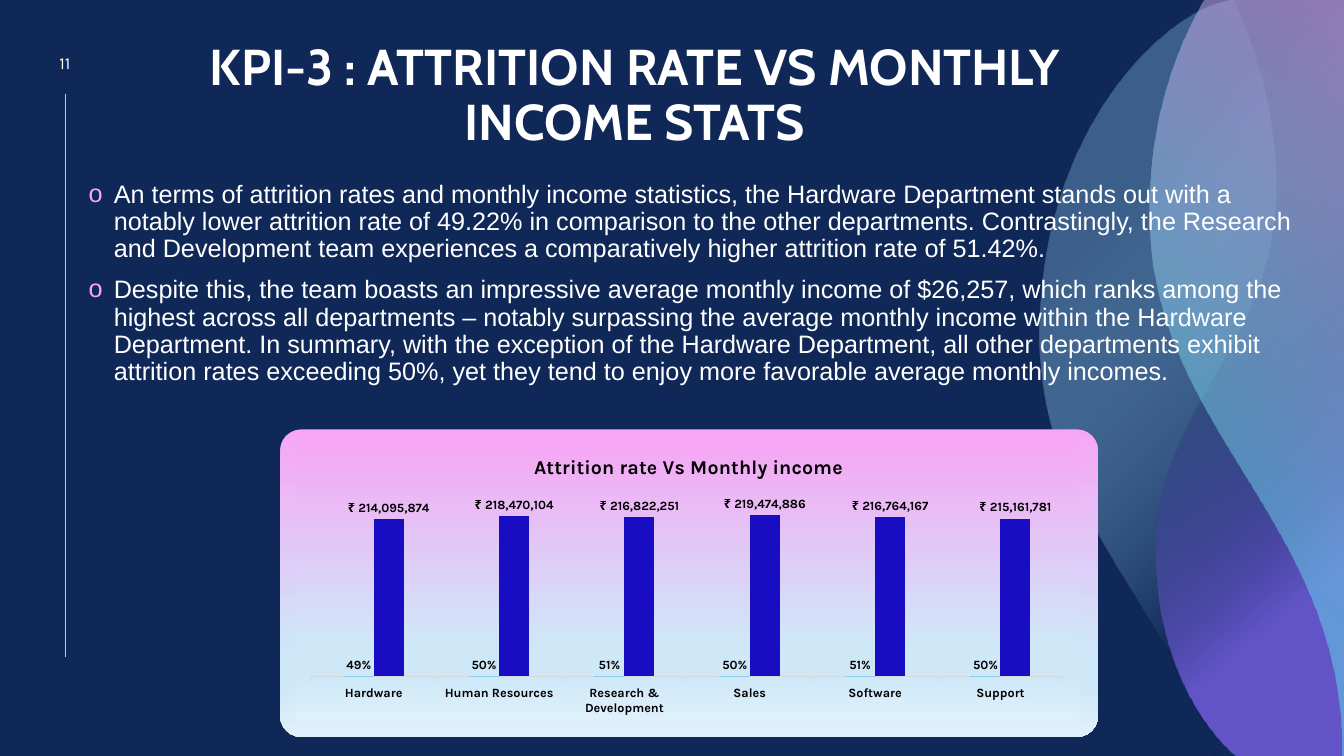
from lxml import etree
from pptx import Presentation
from pptx.chart.data import CategoryChartData
from pptx.dml.color import RGBColor
from pptx.enum.chart import XL_CHART_TYPE, XL_LABEL_POSITION, XL_TICK_LABEL_POSITION, XL_TICK_MARK
from pptx.enum.shapes import MSO_CONNECTOR, MSO_SHAPE
from pptx.enum.text import MSO_ANCHOR, PP_ALIGN
from pptx.oxml import parse_xml
from pptx.oxml.ns import nsdecls, qn
from pptx.util import Inches, Pt

COLORS = {
    "navy": "102857", "pink": "F6A6F4", "sky": "92CDF0", "violet": "765FE1",
    "aqua": "64DFED", "blue": "180DC2", "mist": "CEE8F8", "ice": "DEF0FA",
    "white": "FFFFFF", "black": "000000", "grey": "D9D9D9",
}
PANEL_STOPS = [(0, "pink", 100), (74, "mist", 100), (83, "mist", 100), (100, "ice", 100)]

LINEAR = '<a:lin ang="{}" scaled="0"/>'
CORNER = '<a:path path="circle"><a:fillToRect l="100000" t="100000"/></a:path>'

# Each ribbon: rotation, start point, segments (2 numbers a line, 6 a curve), stops, shading
RIBBONS = [
    (90, (12.2, 0),
     [(13.34, 0), (13.34, 7.5), (12.04, 7.5), (12.02, 7.43),
      (11.54, 5.95, 10.31, 5.03, 10.31, 3.34), (10.3, 1.51, 11.32, 0.31, 12.05, 0.04)],
     [(26, "navy", 100), (73, "sky", 33)], CORNER),
    (270, (12.23, 0),
     [(13.33, 0), (13.33, 7.5), (12.26, 7.5), (12.24, 7.49),
      (11.85, 7.14, 11.46, 6.43, 11.46, 5.46), (11.47, 4.04, 12.63, 3.43, 12.65, 1.92),
      (12.66, 1.17, 12.48, 0.58, 12.28, 0.12)],
     [(37, "navy", 28), (79, "violet", 80)], LINEAR.format(140 * 60000)),
    (90, (11.94, 0),
     [(13.33, 0), (13.33, 7.5), (13.3, 7.5), (13.3, 7.37),
      (13.26, 5.14, 11.41, 4.24, 11.4, 2.15), (11.39, 1.36, 11.58, 0.69, 11.85, 0.17)],
     [(32, "aqua", 48), (100, "pink", 49)], LINEAR.format(220 * 60000)),
]

FINDINGS = [
    "An terms of attrition rates and monthly income statistics, the Hardware Department stands out "
    "with a notably lower attrition rate of 49.22% in comparison to the other departments. "
    "Contrastingly, the Research and Development team experiences a comparatively higher attrition "
    "rate of 51.42%.",
    "Despite this, the team boasts an impressive average monthly income of $26,257, which ranks among "
    "the highest across all departments – notably surpassing the average monthly income within the "
    "Hardware Department. In summary, with the exception of the Hardware Department, all other "
    "departments exhibit attrition rates exceeding 50%, yet they tend to enjoy more favorable average "
    "monthly incomes.",
]
DEPARTMENTS = ["Hardware", "Human Resources", "Research & Development", "Sales", "Software", "Support"]
ATTRITION = [0.49, 0.5, 0.51, 0.5, 0.51, 0.5]
INCOME = [214095874, 218470104, 216822251, 219474886, 216764167, 215161781]


def rgb(name):
    return RGBColor.from_string(COLORS[name])


def gradient(stops, shading):
    marks = "".join(
        f'<a:gs pos="{place * 1000}"><a:srgbClr val="{COLORS[color]}">'
        f'<a:alpha val="{alpha * 1000}"/></a:srgbClr></a:gs>' for place, color, alpha in stops)
    return parse_xml(f'<a:gradFill {nsdecls("a")} rotWithShape="1">'
                     f'<a:gsLst>{marks}</a:gsLst>{shading}</a:gradFill>')


def bend(shape, segments):
    """Join the three lines that stand for each curve into one cubic curve."""
    lines = iter(list(shape.element.iter(qn("a:lnTo"))))
    for segment in segments:
        first = next(lines)
        if len(segment) == 6:
            first.tag = qn("a:cubicBezTo")
            for _ in range(2):
                line = next(lines)
                first.append(line[0])
                line.getparent().remove(line)


def manual_layout(x, y, width=None, height=None):
    """Place a chart part by fractions of the chart area."""
    target = '<c:layoutTarget val="inner"/>' if width else ""
    size = f'<c:w val="{width}"/><c:h val="{height}"/>' if width else ""
    return parse_xml(f'<c:layout {nsdecls("c")}><c:manualLayout>{target}<c:xMode val="edge"/>'
                     f'<c:yMode val="edge"/><c:x val="{x}"/><c:y val="{y}"/>{size}'
                     f'</c:manualLayout></c:layout>')


class SlideBuilder:
    def __init__(self, page):
        self.page = page
        self.shapes = page.shapes
        page.background.fill.solid()
        page.background.fill.fore_color.rgb = rgb("navy")

    def style(self, font, size, name="Karla", color="white", bold=False):
        font.size, font.name, font.bold = Pt(size), name, bold
        font.color.rgb = rgb(color)

    def shade(self, shape, stops, shading):
        shape.shadow.inherit = False
        shape.line.fill.background()
        shape.fill.background()
        properties = shape.element.spPr
        properties.replace(properties.find(qn("a:noFill")), gradient(stops, shading))

    def rule(self, x, top, bottom):
        line = self.shapes.add_connector(
            MSO_CONNECTOR.STRAIGHT, Inches(x), Inches(top), Inches(x), Inches(bottom))
        line.line.color.rgb, line.line.width = rgb("pink"), Pt(0.5)
        etree.SubElement(line.element.spPr, qn("a:effectLst"))

    def ribbon(self, rotation, start, segments, stops, shading):
        """Draw the outline turned back about its centre, then rotate it so the shading turns too."""
        points = [start] + [segment[i:i + 2] for segment in segments for i in range(0, len(segment), 2)]
        middle_x, middle_y = ((min(values) + max(values)) / 2 for values in zip(*points))
        turn = 1 if rotation == 90 else -1
        turned = [(Inches(middle_x + turn * (y - middle_y)), Inches(middle_y - turn * (x - middle_x)))
                  for x, y in points]
        builder = self.shapes.build_freeform(*turned[0])
        builder.add_line_segments(turned[1:], close=True)
        shape = builder.convert_to_shape()
        bend(shape, segments)
        shape.rotation = rotation
        self.shade(shape, stops, shading)

    def title(self, text, *place):
        title = self.shapes.title
        title.element.getparent().append(title.element)
        title.left, title.top, title.width, title.height = map(Inches, place)
        title.text_frame.text = text
        title.text_frame.word_wrap = True
        title.text_frame.vertical_anchor = MSO_ANCHOR.BOTTOM
        paragraph = title.text_frame.paragraphs[0]
        paragraph.alignment, paragraph.line_spacing = PP_ALIGN.CENTER, 0.9
        self.style(paragraph.runs[0].font, 36, "Cabin", bold=True)

    def page_number(self, text, *place):
        frame = self.shapes.add_textbox(*map(Inches, place)).text_frame
        frame.text, frame.word_wrap = text, True
        frame.vertical_anchor = MSO_ANCHOR.MIDDLE
        frame.paragraphs[0].alignment = PP_ALIGN.CENTER
        self.style(frame.paragraphs[0].runs[0].font, 12)

    def bullets(self, items, *place):
        frame = self.shapes.add_textbox(*map(Inches, place)).text_frame
        frame.text, frame.word_wrap = "\n".join(items), True
        for index, paragraph in enumerate(frame.paragraphs):
            paragraph.line_spacing = 0.9
            paragraph.space_before = Pt(10 if index else 0)
            properties = paragraph._p.get_or_add_pPr()
            properties.set("marL", str(Inches(0.25)))
            properties.set("indent", str(-Inches(0.25)))
            color = etree.SubElement(properties, qn("a:buClr"))
            etree.SubElement(color, qn("a:srgbClr"), val=COLORS["pink"])
            etree.SubElement(properties, qn("a:buFont"), typeface="Arial")
            etree.SubElement(properties, qn("a:buChar"), char="o")
            self.style(paragraph.runs[0].font, 18, "Arial")

    def panel(self, *place):
        panel = self.shapes.add_shape(MSO_SHAPE.ROUNDED_RECTANGLE, *map(Inches, place))
        panel.adjustments[0] = 0.068
        self.shade(panel, PANEL_STOPS, LINEAR.format(90 * 60000))

    def column_chart(self, title, categories, series, *place):
        """Draw columns; series holds name, values, colour and label format."""
        data = CategoryChartData()
        data.categories = categories
        for name, values, _, label_format in series:
            data.add_series(name, values, label_format)
        chart = self.shapes.add_chart(XL_CHART_TYPE.COLUMN_CLUSTERED, *map(Inches, place), data).chart
        self.style(chart.font, 10, color="black")
        chart.has_legend = False
        chart.has_title = True
        chart.chart_title.text_frame.text = title
        self.style(chart.chart_title.text_frame.paragraphs[0].runs[0].font, 14, color="black", bold=True)
        chart.chart_title.include_in_layout = False
        heading = chart.chart_title._element
        for old in heading.findall(qn("c:layout")):
            heading.remove(old)
        heading.find(qn("c:tx")).addnext(manual_layout(0.3, 0.04))

        axis = chart.category_axis
        axis.major_tick_mark = XL_TICK_MARK.OUTSIDE
        axis.tick_label_position = XL_TICK_LABEL_POSITION.LOW
        axis.format.line.color.rgb, axis.format.line.width = rgb("grey"), Pt(0.75)
        self.style(axis.tick_labels.font, 9, color="black", bold=True)
        values_axis = chart.value_axis
        values_axis.visible = values_axis.has_major_gridlines = False
        values_axis.minimum_scale, values_axis.maximum_scale = 0, 250000000

        plot = chart.plots[0]
        plot.gap_width, plot.overlap, plot.vary_by_categories = 219, 0, False
        for bars, (_, _, color, label_format) in zip(plot.series, series):
            bars.format.fill.solid()
            bars.format.fill.fore_color.rgb = rgb(color)
            labels = bars.data_labels
            labels.show_value, labels.position = True, XL_LABEL_POSITION.OUTSIDE_END
            labels.number_format, labels.number_format_is_linked = label_format, False
            self.style(labels.font, 9, color="black", bold=True)
        plot.series[0].format.line.color.rgb = rgb("sky")
        plot.series[0].format.line.width = Pt(0.75)

        space = chart.element
        plot_area = space.chart.plotArea
        for old in plot_area.findall(qn("c:layout")):
            plot_area.remove(old)
        plot_area.insert(0, manual_layout(0.02, 0.19, 0.96, 0.65))
        area = parse_xml(f'<c:spPr {nsdecls("c", "a")}><a:ln><a:noFill/></a:ln></c:spPr>')
        area.insert(0, gradient(PANEL_STOPS, LINEAR.format(90 * 60000)))
        space.chart.addnext(area)


def main():
    deck = Presentation()
    deck.slide_width, deck.slide_height = Inches(13.33), Inches(7.5)
    slide = SlideBuilder(deck.slides.add_slide(deck.slide_layouts[5]))
    slide.rule(0.65, 0.93, 6.52)
    for ribbon in RIBBONS:
        slide.ribbon(*ribbon)
    slide.title("KPI-3 : ATTRITION RATE VS MONTHLY INCOME STATS", 1.44, 0.3, 9.71, 1.25)
    slide.page_number("11", 0.36, 0.45, 0.57, 0.34)
    slide.bullets(FINDINGS, 0.78, 1.75, 12.21, 2.31)
    slide.panel(2.78, 4.26, 8.11, 3.05)
    series = [("Series 1", ATTRITION, "sky", "0%"),
              ("Series 2", INCOME, "blue", r"[$₹-4009]\ #,##0")]
    slide.column_chart("Attrition rate Vs Monthly income", DEPARTMENTS, series, 2.93, 4.36, 7.77, 2.8)
    deck.save("out.pptx")


if __name__ == "__main__":
    main()
